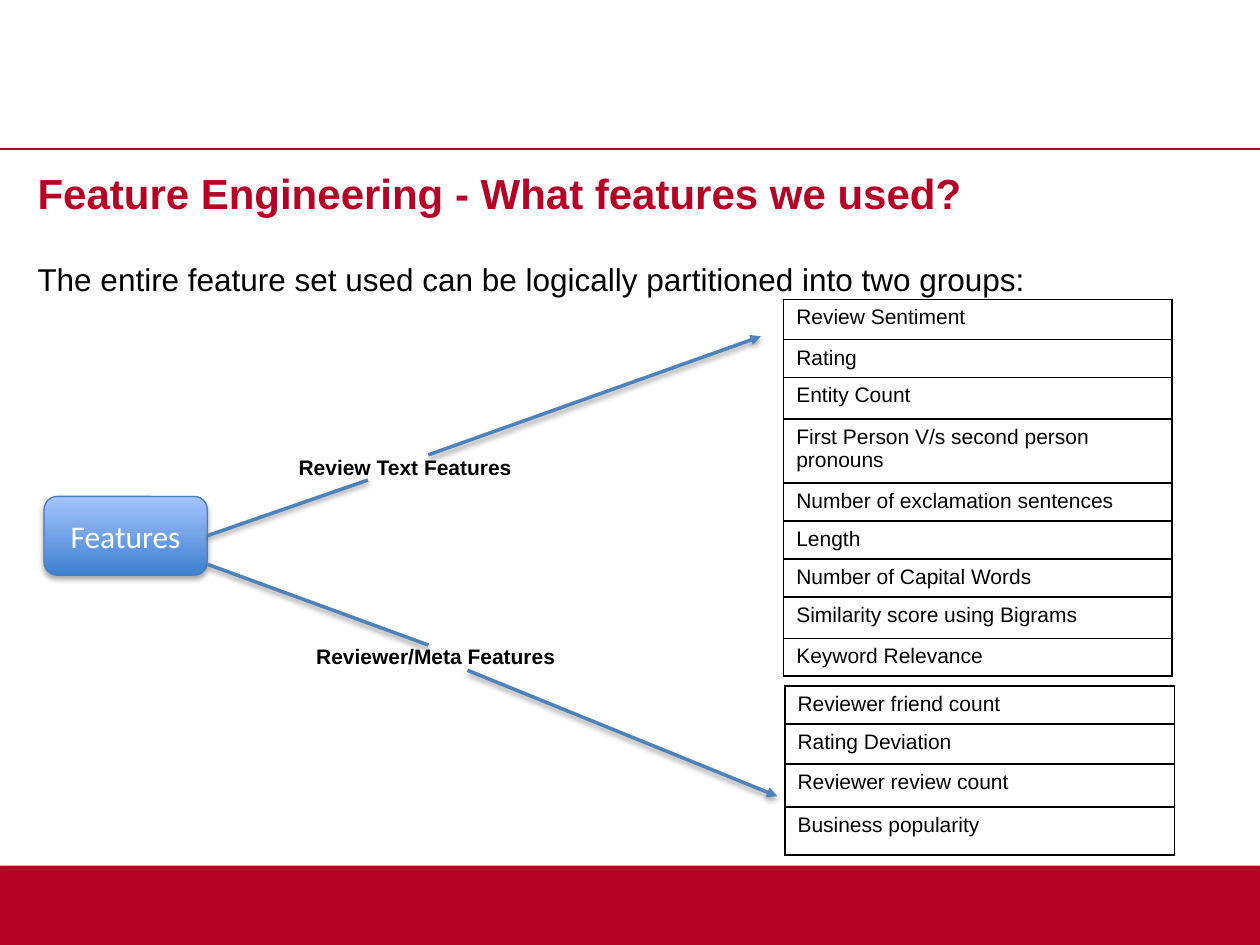
from pptx import Presentation
from pptx import util as u
from pptx.dml.color import RGBColor
from pptx.enum import shapes, text
from pptx.oxml import parse_xml
from pptx.oxml.ns import nsdecls

COLORS = {"red": "B60225", "black": "000000", "white": "FFFFFF",
          "arrow": "4F81BD", "edge": "4B7EBC",
          "node_bottom": "3F80CE", "node_top": "A4C4FF"}
RGB = {name: RGBColor.from_string(value) for name, value in COLORS.items()}

deck = Presentation()
deck.slide_width, deck.slide_height = u.Inches(10), u.Inches(7.5)
page = deck.slides.add_slide(deck.slide_layouts[6])

# Grid of 100 columns by 75 rows
col, row = deck.slide_width / 100, deck.slide_height / 75


def write(para, words, size=12, color="black", font="Arial", bold=False,
          align=text.PP_ALIGN.LEFT, before=0):
    para.alignment = align
    para.space_before = u.Pt(before)
    span = para.add_run()
    span.text = words
    span.font.size, span.font.name, span.font.bold = u.Pt(size), font, bold
    span.font.color.rgb = RGB[color]


def set_shadow(shape, opacity=0):
    """Soft shadow below the shape, or none at opacity 0."""
    shadow = (f'<a:outerShdw blurRad="40000" dist="23000" dir="5400000" rotWithShape="0">'
              f'<a:srgbClr val="{COLORS["black"]}"><a:alpha val="{opacity * 1000}"/>'
              f'</a:srgbClr></a:outerShdw>') if opacity else ""
    shape._element.spPr.append(
        parse_xml(f'<a:effectLst {nsdecls("a")}>{shadow}</a:effectLst>'))


# Footer band and header rule
footer = page.shapes.add_shape(shapes.MSO_SHAPE.RECTANGLE, 0, int(68.7 * row),
                               deck.slide_width, int(6.3 * row))
footer.fill.solid()
footer.fill.fore_color.rgb = RGB["red"]
footer.line.fill.background()
set_shadow(footer, 35)

rule = page.shapes.add_connector(shapes.MSO_CONNECTOR.STRAIGHT, 0, int(11.85 * row),
                                 deck.slide_width, int(11.85 * row))
rule.line.color.rgb, rule.line.width = RGB["red"], u.Pt(1)
set_shadow(rule)

# Title and introduction
box = page.shapes.add_textbox(int(2 * col), int(12.8 * row), int(96 * col), int(11 * row))
box.text_frame.word_wrap = True
write(box.text_frame.paragraphs[0], "Feature Engineering - What features we used?",
      size=24, color="red", bold=True)
write(box.text_frame.add_paragraph(),
      "The entire feature set used can be logically partitioned into two groups:",
      size=18, before=24)

# Branch labels
for words, left, top in [("Review Text Features", 23.7, 36.1),
                         ("Reviewer/Meta Features", 25.1, 51.1)]:
    box = page.shapes.add_textbox(int(left * col), int(top * row), int(21 * col), int(2 * row))
    frame = box.text_frame
    frame.word_wrap = True
    frame.margin_left = frame.margin_right = frame.margin_top = frame.margin_bottom = 0
    write(frame.paragraphs[0], words, bold=True)

# Feature tables: left, top, width, then each feature with its row height
FEATURE_TABLES = [
    (62.2, 23.75, 30.8, [
        ("Review Sentiment", 3.2), ("Rating", 3), ("Entity Count", 3.3),
        ("First Person V/s second person pronouns", 5.1),
        ("Number of exclamation sentences", 3), ("Length", 3),
        ("Number of Capital Words", 3), ("Similarity score using Bigrams", 3.3),
        ("Keyword Relevance", 3)]),
    (62.3, 54.45, 30.9, [
        ("Reviewer friend count", 3), ("Rating Deviation", 3.2),
        ("Reviewer review count", 3.4), ("Business popularity", 3.8)]),
]
for left, top, width, features in FEATURE_TABLES:
    height = sum(rows for _, rows in features)
    table = page.shapes.add_table(len(features), 1, int(left * col), int(top * row),
                                  int(width * col), int(height * row)).table
    table.first_row = table.horz_banding = False
    for index, (feature, rows) in enumerate(features):
        table.rows[index].height = int(rows * row)
        cell = table.cell(index, 0)
        write(cell.text_frame.paragraphs[0], feature)
        if feature == "Rating":
            cell.vertical_anchor = text.MSO_ANCHOR.MIDDLE
        for side in ("lnL", "lnR", "lnT", "lnB"):
            cell._tc.get_or_add_tcPr().append(parse_xml(
                f'<a:{side} {nsdecls("a")} w="12700"><a:solidFill>'
                f'<a:srgbClr val="{COLORS["black"]}"/></a:solidFill></a:{side}>'))
        cell.fill.background()

# Root node
node = page.shapes.add_shape(shapes.MSO_SHAPE.ROUNDED_RECTANGLE, int(3.5 * col),
                             int(39.4 * row), int(12.95 * col), int(6.25 * row))
node.fill.gradient()
node.fill.gradient_angle = 90
for stop, position, color in zip(node.fill.gradient_stops, (0, 1),
                                 ("node_bottom", "node_top")):
    stop.position, stop.color.rgb = position, RGB[color]
node.line.color.rgb, node.line.width = RGB["edge"], u.Pt(0.75)
set_shadow(node, 35)
node.text_frame.vertical_anchor = text.MSO_ANCHOR.MIDDLE
write(node.text_frame.paragraphs[0], "Features", size=18, color="white",
      font="Calibri", align=text.PP_ALIGN.CENTER)

# Branches: start, end, arrowhead
for x1, y1, x2, y2, arrowhead in [(16.5, 42.5, 29.2, 38.1, False),
                                  (16.5, 44.8, 34, 51.2, False),
                                  (34, 36.1, 60.4, 26.7, True),
                                  (37.1, 53.2, 61.7, 63.2, True)]:
    branch = page.shapes.add_connector(shapes.MSO_CONNECTOR.STRAIGHT, int(x1 * col),
                                       int(y1 * row), int(x2 * col), int(y2 * row))
    branch.line.color.rgb, branch.line.width = RGB["arrow"], u.Pt(2)
    if arrowhead:
        branch.line._get_or_add_ln().append(
            parse_xml(f'<a:tailEnd {nsdecls("a")} type="triangle"/>'))
    set_shadow(branch, 38)

deck.save("out.pptx")
